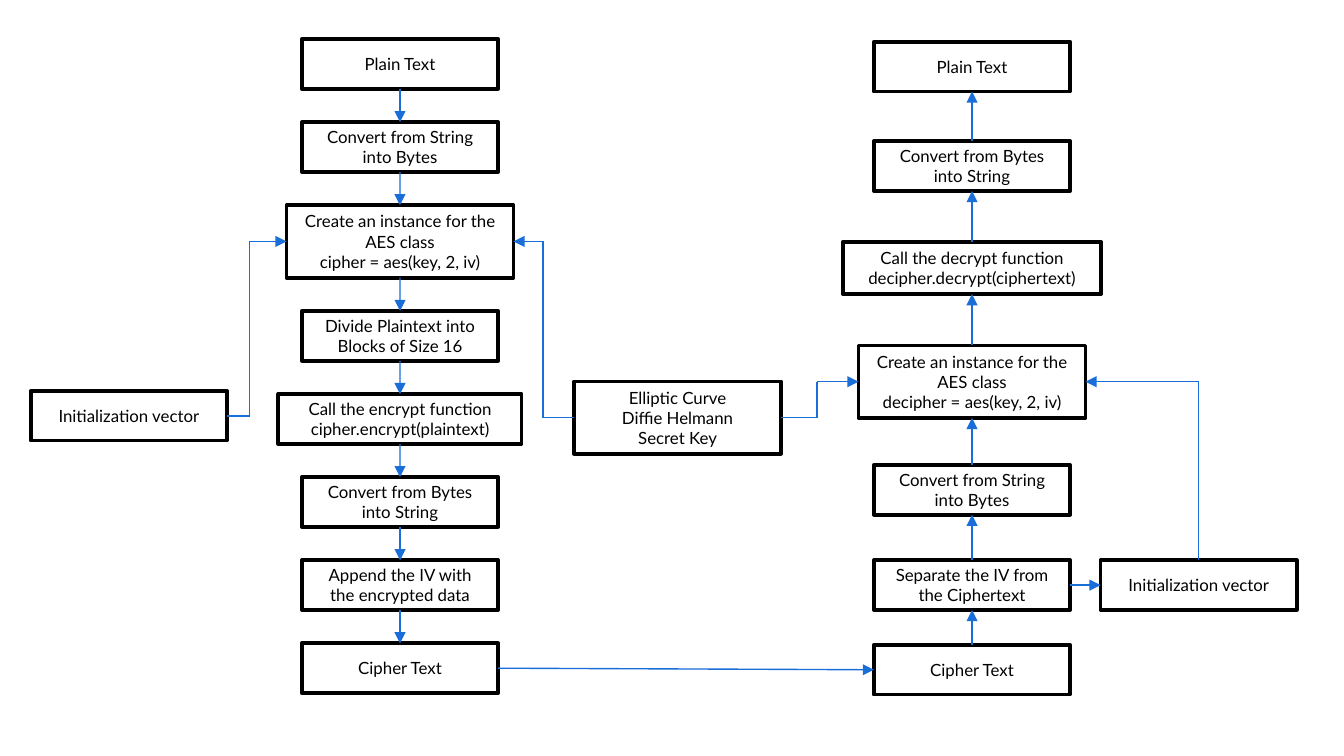
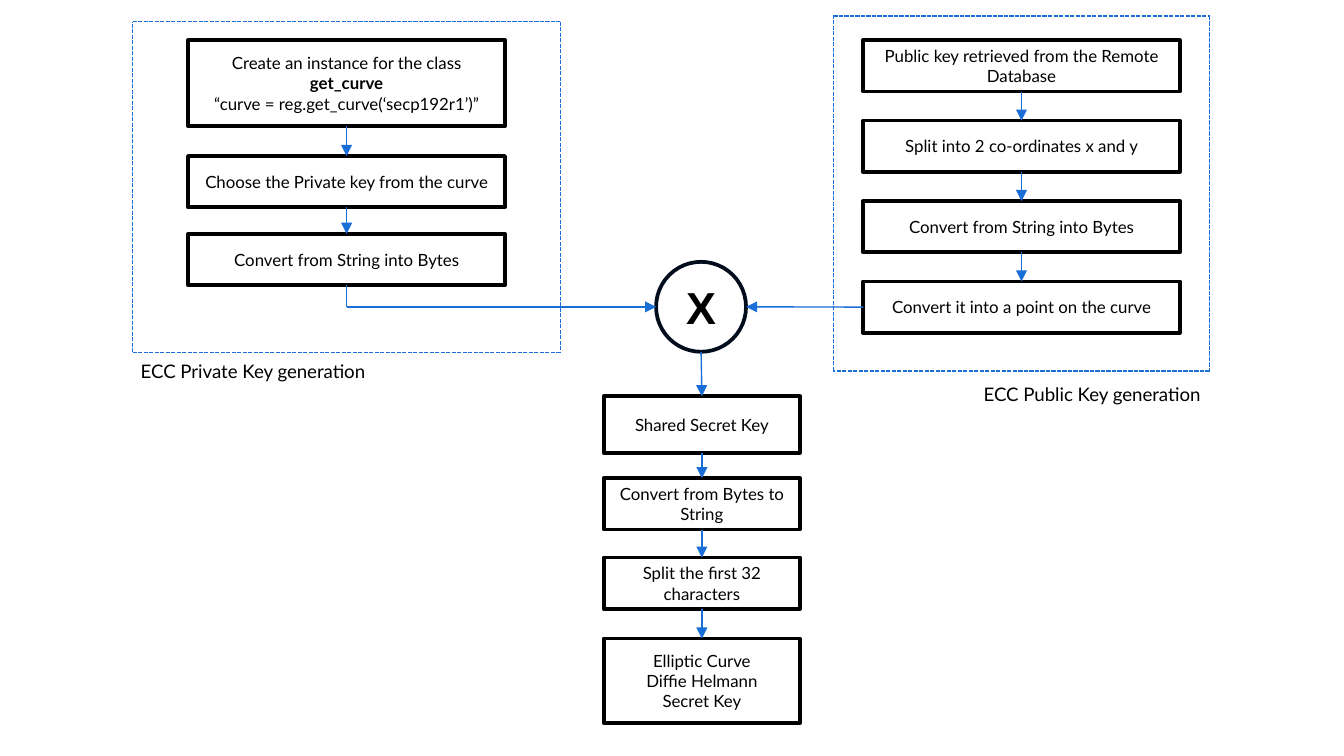
from dataclasses import dataclass
from itertools import pairwise

from lxml.etree import SubElement
from pptx import Presentation
from pptx.dml.color import RGBColor
from pptx.enum.dml import MSO_LINE_DASH_STYLE as Dash
from pptx.enum.shapes import MSO_CONNECTOR_TYPE as Link, MSO_SHAPE as Shape
from pptx.enum.text import MSO_ANCHOR as Anchor, PP_ALIGN as Align
from pptx.oxml.ns import qn
from pptx.util import Cm, Pt

TOP, LEFT, BOTTOM, RIGHT = range(4)


@dataclass(frozen=True)
class Theme:
    """Colours, fonts and sizes shared by both slides."""
    ink: RGBColor = RGBColor(0, 0, 0)
    paper: RGBColor = RGBColor(255, 255, 255)
    arrow: RGBColor = RGBColor(0x19, 0x6E, 0xD8)
    ring: RGBColor = RGBColor(0x01, 0x0D, 0x1C)
    font: str = "Lato"
    sign_font: str = "Arial"
    step_size: float = 9
    caption_size: float = 10
    sign_size: float = 24
    border: float = 2
    arrow_width: float = 0.75


@dataclass(frozen=True)
class Box:
    """A region in centimetres."""
    left: float
    top: float
    width: float = 3.71
    height: float = 0.94

    @property
    def centre(self):
        """Horizontal middle."""
        return self.left + self.width / 2

    @property
    def middle(self):
        """Vertical middle."""
        return self.top + self.height / 2

    @property
    def right(self):
        """Right edge."""
        return self.left + self.width

    @property
    def bottom(self):
        """Bottom edge."""
        return self.top + self.height


@dataclass(frozen=True)
class Step:
    """One box of a flow: its lines and its size in centimetres."""
    lines: tuple
    width: float = 3.71
    height: float = 0.94


THEME = Theme()


def write(frame, lines, size, font=THEME.font, bold=False, align=Align.CENTER):
    """Write each line as a paragraph; the second run of a line is bold."""
    frame.word_wrap = True
    for number, line in enumerate(lines):
        paragraph = frame.add_paragraph() if number else frame.paragraphs[0]
        paragraph.alignment = align
        for place, words in enumerate((line,) if isinstance(line, str) else line):
            run = paragraph.add_run()
            run.text = words
            run.font.name, run.font.size = font, Pt(size)
            run.font.bold = bold or place == 1
            run.font.color.rgb = THEME.ink


def node(slide, box, lines, outline=Shape.RECTANGLE, border=THEME.ink,
         size=THEME.step_size, **style):
    """Draw a white outlined box with centred text."""
    shape = slide.shapes.add_shape(
        outline, Cm(box.left), Cm(box.top), Cm(box.width), Cm(box.height))
    shape.shadow.inherit = False
    shape.fill.solid()
    shape.fill.fore_color.rgb = THEME.paper
    shape.line.color.rgb = border
    shape.line.width = Pt(THEME.border)
    shape.text_frame.vertical_anchor = Anchor.MIDDLE
    write(shape.text_frame, lines, size, **style)
    return shape


def side(shape, site):
    """Return the point at the middle of one side of a rectangle."""
    x = {LEFT: 0, RIGHT: shape.width}.get(site, shape.width // 2)
    y = {TOP: 0, BOTTOM: shape.height}.get(site, shape.height // 2)
    return shape.left + x, shape.top + y


def link(slide, start, end, head=True, dash=None):
    """Draw a line between two ends, each a point or a (shape, side) pair."""
    joins = [hasattr(place[0], "width") for place in (start, end)]
    points = [side(*place) if joined else place
              for place, joined in zip((start, end), joins)]
    line = slide.shapes.add_connector(Link.STRAIGHT, *points[0], *points[1])
    line.line.color.rgb = THEME.arrow
    line.line.width = Pt(THEME.arrow_width)
    if dash:
        line.line.dash_style = dash
    properties = line.element.spPr
    if head:
        SubElement(properties.find(qn("a:ln")), qn("a:tailEnd"), type="triangle")
    SubElement(properties, qn("a:effectLst"))
    if joins[0]:
        line.begin_connect(*start)
    if joins[1]:
        line.end_connect(*end)


def route(slide, *stops):
    """Link the stops in turn, with an arrowhead at the last."""
    legs = list(pairwise(stops))
    for number, (start, end) in enumerate(legs, 1):
        link(slide, start, end, head=number == len(legs))


def side_route(slide, start, x, end):
    """Go sideways to x, along it, and sideways again to the end."""
    route(slide, start, (Cm(x), side(*start)[1]), (Cm(x), side(*end)[1]), end)


def flow(slide, box, steps, gaps, upward=False):
    """Stack steps down the middle of the box and link neighbours."""
    shapes, top = [], box.top
    for step, gap in zip(steps, [*gaps, 0]):
        place = Box(box.centre - step.width / 2, top, step.width, step.height)
        shapes.append(node(slide, place, step.lines))
        top += step.height + gap
    for upper, lower in pairwise(shapes):
        ends = (upper, BOTTOM), (lower, TOP)
        link(slide, *(reversed(ends) if upward else ends))
    return shapes


def encryption(slide, box):
    """Draw the encryption flow."""
    steps = [
        Step(("Plain Text",)),
        Step(("Convert from String into Bytes",)),
        Step(("Create an instance for the AES class", "cipher = aes(key, 2, iv)"), 4.29, 1.37),
        Step(("Divide Plaintext into Blocks of Size 16",)),
        Step(("Call the encrypt function cipher.encrypt(plaintext)",), 4.6),
        Step(("Convert from Bytes into String",)),
        Step(("Append the IV with the encrypted data",)),
        Step(("Cipher Text",)),
    ]
    return flow(slide, box, steps, [0.63] * 7)


def decryption(slide, box):
    """Draw the decryption flow, which runs upward."""
    steps = [
        Step(("Plain Text",)),
        Step(("Convert from Bytes into String",)),
        Step(("Call the decrypt function decipher.decrypt(ciphertext)",), 4.88, 0.99),
        Step(("Create an instance for the AES class", "decipher = aes(key, 2, iv)"), 4.29, 1.37),
        Step(("Convert from String into Bytes",)),
        Step(("Separate the IV from the Ciphertext",)),
        Step(("Cipher Text",)),
    ]
    return flow(slide, box, steps, [0.94, 0.96, 0.97, 0.89, 0.86, 0.66], upward=True)


def aes_slide(slide):
    """Lay out encryption and decryption with their shared inputs."""
    encrypt = encryption(slide, Box(5.26, 0.74, 4.6, 12.39))
    decrypt = decryption(slide, Box(15.93, 0.79, 4.88, 12.34))
    cipher, decipher, separate = encrypt[2], decrypt[3], decrypt[5]
    vector_in = node(slide, Box(0.58, 7.39), ("Initialization vector",))
    vector_out = node(slide, Box(20.8, 10.59), ("Initialization vector",))
    secret = node(slide, Box(10.85, 7.21, 3.91, 1.37),
                  ("Elliptic Curve", "Diffie Helmann", "Secret Key"))
    side_route(slide, (vector_in, RIGHT), 4.72, (cipher, LEFT))
    side_route(slide, (secret, LEFT), 10.26, (cipher, RIGHT))
    side_route(slide, (secret, RIGHT), 15.44, (decipher, LEFT))
    corner = side(vector_out, TOP)[0], side(decipher, RIGHT)[1]
    route(slide, (vector_out, TOP), corner, (decipher, RIGHT))
    link(slide, (separate, RIGHT), (vector_out, LEFT))
    link(slide, (encrypt[-1], RIGHT), (decrypt[-1], LEFT))


def dashed_frame(slide, box, caption, shift, drop):
    """Draw a dashed frame with a caption beneath it."""
    x, y, right, bottom = map(Cm, (box.left, box.top, box.right, box.bottom))
    corners = (x, y), (right, y), (right, bottom), (x, bottom), (x, y)
    for start, end in pairwise(corners):
        link(slide, start, end, head=False, dash=Dash.SQUARE_DOT)
    label = slide.shapes.add_textbox(
        Cm(box.left + shift), Cm(box.bottom + drop), Cm(4.95), Cm(0.69))
    write(label.text_frame, (caption,), THEME.caption_size, align=Align.LEFT)


def private_key(slide, box):
    """Draw the private key region and return its last step."""
    dashed_frame(slide, box, "ECC Private Key generation", -0.1, 0.02)
    steps = [
        Step((("Create an instance for the class ", "get_curve"),
              "“curve = reg.get_curve(‘secp192r1’)”"), 5.99, 1.63),
        Step(("Choose the Private key from the curve",), 5.99, 0.97),
        Step(("Convert from String into Bytes",), 5.99, 0.97),
    ]
    inner = Box(box.left, box.top + 0.35, box.width, box.height)
    return flow(slide, inner, steps, [0.56, 0.5])[-1]


def public_key(slide, box):
    """Draw the public key region and return its last step."""
    dashed_frame(slide, box, "ECC Public Key generation", 2.59, 0.1)
    texts = ("Public key retrieved from the Remote Database",
             "Split into 2 co-ordinates x and y",
             "Convert from String into Bytes",
             "Convert it into a point on the curve")
    steps = [Step((text,), 5.99, 0.97) for text in texts]
    inner = Box(box.left, box.top + 0.46, box.width, box.height)
    return flow(slide, inner, steps, [0.55] * 3)[-1]


def shared_key(slide, box):
    """Draw the shared key flow and return its first step."""
    steps = [
        Step(("Shared Secret Key",), height=1.07),
        Step(("Convert from Bytes to String",), height=0.97),
        Step(("Split the first 32 characters",), height=0.97),
        Step(("Elliptic Curve", "Diffie Helmann", "Secret Key"), height=1.6),
    ]
    return flow(slide, box, steps, [0.48, 0.53, 0.56])[0]


def key_slide(slide):
    """Lay out both key regions, their product and the shared key."""
    private = private_key(slide, Box(2.51, 0.41, 8.08, 6.25))
    public = public_key(slide, Box(15.75, 0.3, 7.11, 6.71))
    shared = shared_key(slide, Box(11.41, 7.49, 3.71, 6.17))
    product = Box(12.4, 4.95, 1.7, 1.7)
    node(slide, product, ("X",), Shape.OVAL, THEME.ring, THEME.sign_size,
         font=THEME.sign_font, bold=True)
    middle = Cm(product.middle)
    route(slide, (private, BOTTOM), (side(private, BOTTOM)[0], middle),
          (Cm(product.left), middle))
    link(slide, (public, LEFT), (Cm(product.right), middle))
    link(slide, (Cm(product.centre), Cm(product.bottom)), (shared, TOP))


def main():
    """Build and save the two slides."""
    deck = Presentation()
    deck.slide_width, deck.slide_height = Cm(25.4), Cm(14.29)
    for build in (aes_slide, key_slide):
        build(deck.slides.add_slide(deck.slide_layouts[6]))
    deck.save("out.pptx")


if __name__ == "__main__":
    main()
